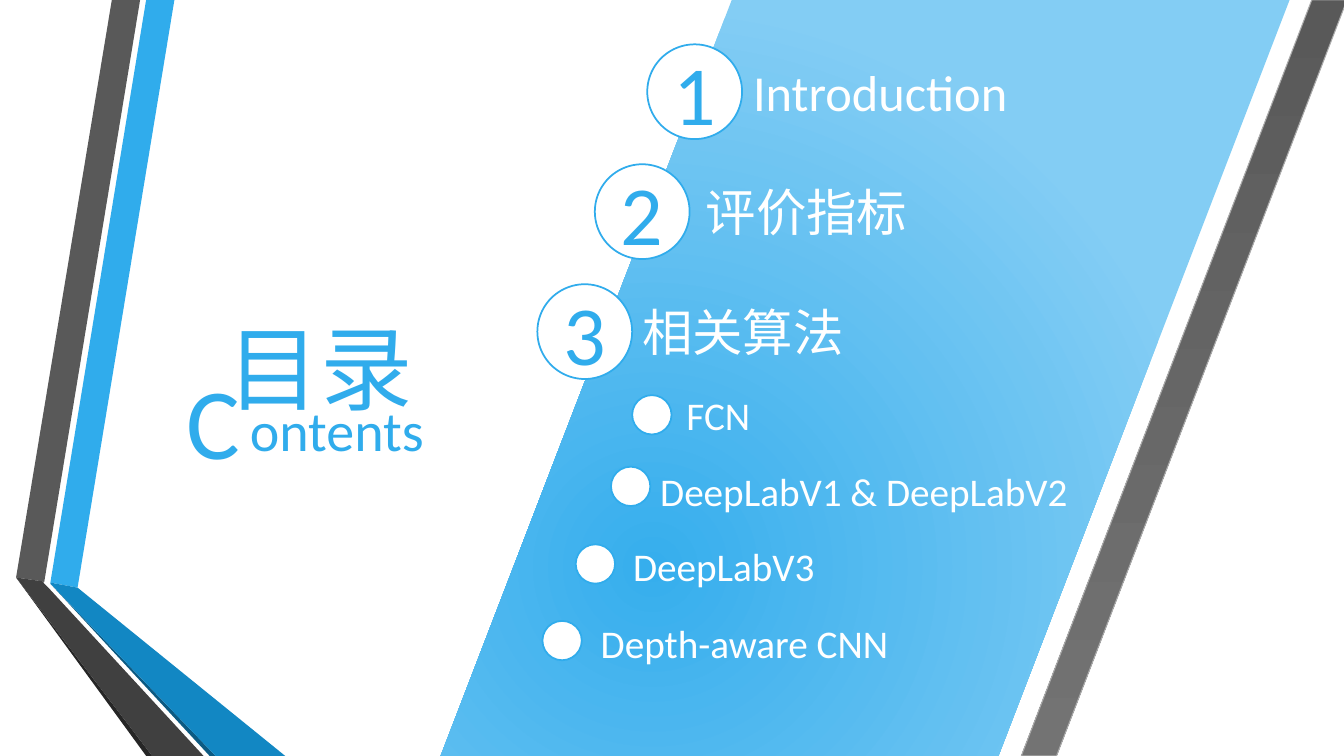
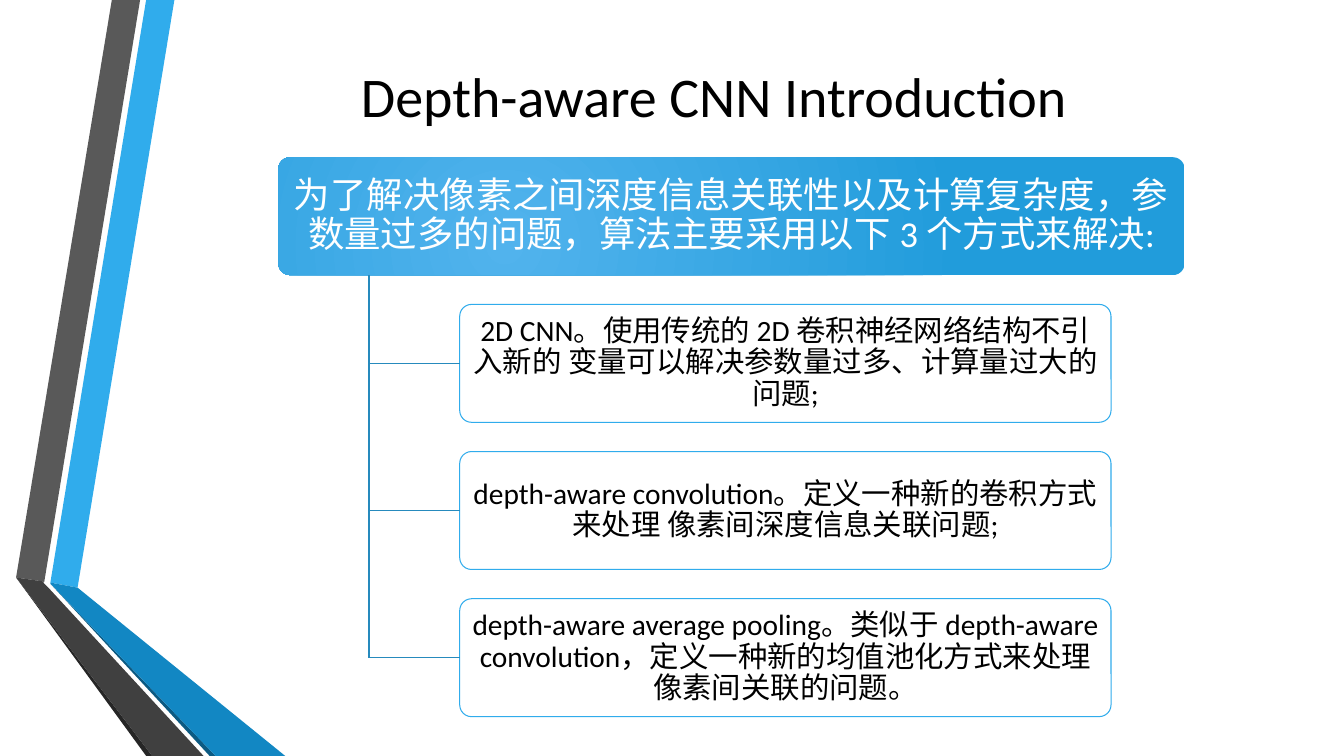
import pptx
import pptx.dml.color
import pptx.enum.shapes
import pptx.enum.text
import pptx.oxml
import pptx.oxml.ns
import pptx.util
from lxml import etree

Inches = pptx.util.Inches
SHAPES = pptx.enum.shapes.MSO_SHAPE
ALIGN = pptx.enum.text.PP_ALIGN
ANCHOR = pptx.enum.text.MSO_ANCHOR
qn = pptx.oxml.ns.qn

FONT = "Calibri"
BLUE, WHITE, BLACK = "30ACEC", "FFFFFF", "000000"
BRANCH_BLUE = "268ABD"

RIBBONS = [
    ("30ACEC", [(0.5, 5.78), (0.77, 5.83), (1.73, 0), (1.45, 0)]),
    ("595959", [(1.39, 0), (1.11, 0), (0.16, 5.73), (0.44, 5.77)]),
    ("262626", [(0.16, 5.73), (1.45, 7.5), (1.51, 7.5)]),
    ("0C5A82", [(0.5, 5.79), (2.08, 7.5), (2.14, 7.5)]),
    ("1287C3", [(0.5, 5.79), (2.14, 7.5), (2.83, 7.5), (0.77, 5.83), (0.5, 5.78)]),
    ("404040", [(2.02, 7.5), (0.48, 5.83), (0.43, 5.78), (0.44, 5.77), (0.16, 5.73), (1.51, 7.5)]),
]

CHAPTERS = [
    ("1", "Introduction", 2.05, 3.0, 2.89),
    ("2", "评价指标", 1.53, 2.53, 2.22),
    ("3", "相关算法", 0.96, 1.9, 2.22),
]
TOPICS = [
    ("FCN", 1.9, 3.92, 2.34, 3.83, 0.98),
    ("DeepLabV1 & DeepLabV2", 1.69, 4.63, 2.08, 4.59, 4.57),
    ("DeepLabV3", 1.34, 5.4, 1.81, 5.33, 2.09),
    ("Depth-aware CNN", 1.01, 6.16, 1.49, 6.09, 3.25),
]

PROBLEM = "为了解决像素之间深度信息关联性以及计算复杂度，参数量过多的问题，算法主要采用以下 3 个方式来解决:"
METHODS = [
    "2D CNN。使用传统的 2D 卷积神经网络结构不引入新的 变量可以解决参数量过多、计算量过大的问题;",
    "depth-aware convolution。定义一种新的卷积方式来处理 像素间深度信息关联问题;",
    "depth-aware average pooling。类似于 depth-aware convolution，定义一种新的均值池化方式来处理像素间关联的问题。",
]


def rgb(color):
    return pptx.dml.color.RGBColor.from_string(color)


def set_values(target, values):
    for name, value in values.items():
        setattr(target, name, value)


def style_shape(shape, fill=None, line=None, width=1.25):
    shape.shadow.inherit = False
    if fill:
        shape.fill.solid()
        shape.fill.fore_color.rgb = rgb(fill)
    if line:
        shape.line.color.rgb = rgb(line)
        shape.line.width = pptx.util.Pt(width)
    else:
        shape.line.fill.background()


def add_shape(slide, kind, box, fill=None, line=None, width=1.25, adjustment=None):
    shape = slide.shapes.add_shape(kind, *map(Inches, box))
    if adjustment is not None:
        shape.adjustments[0] = adjustment
    style_shape(shape, fill, line, width)
    return shape


def fill_gradient(shape, first, last, center=None):
    shape.fill.gradient()
    shape.fill.gradient_angle = 270
    for stop, color in zip(shape.fill.gradient_stops, (first, last)):
        stop.color.rgb = rgb(color)
    if center:
        linear = shape._element.spPr.find(".//" + qn("a:lin"))
        radial = etree.Element(qn("a:path"), {"path": "circle"})
        x, y = center
        sides = {"l": x, "t": y, "r": 100 - x, "b": 100 - y}
        etree.SubElement(radial, qn("a:fillToRect"),
                         {side: str(value * 1000) for side, value in sides.items()})
        linear.getparent().replace(linear, radial)


def write_text(shape, text, size, color, align=ALIGN.CENTER, frame_values=None, spacing=None):
    frame = shape.text_frame
    set_values(frame, frame_values or {})
    paragraph = frame.paragraphs[0]
    paragraph.text = text
    set_values(paragraph, {"alignment": align, "line_spacing": spacing})
    set_values(paragraph.font, {"name": FONT, "size": pptx.util.Pt(size)})
    paragraph.font.color.rgb = rgb(color)


def add_label(slide, box, text, size, color, align=ALIGN.LEFT, wrap=False, anchor=ANCHOR.TOP):
    label = slide.shapes.add_textbox(*map(Inches, box))
    fit = pptx.enum.text.MSO_AUTO_SIZE
    write_text(label, text, size, color, align, {
        "word_wrap": wrap, "vertical_anchor": anchor,
        "auto_size": fit.SHAPE_TO_FIT_TEXT if anchor == ANCHOR.TOP else fit.NONE})


def add_line(slide, start, end):
    connector = slide.shapes.add_connector(
        pptx.enum.shapes.MSO_CONNECTOR.STRAIGHT, *map(Inches, start + end))
    connector.line.color.rgb = rgb(BRANCH_BLUE)
    connector.line.width = pptx.util.Pt(0.75)
    etree.SubElement(connector._element.spPr, qn("a:effectLst"))
    return connector


def add_ribbons(slide):
    for color, points in RIBBONS:
        corners = [(Inches(x), Inches(y)) for x, y in points]
        builder = slide.shapes.build_freeform(*corners[0])
        builder.add_line_segments(corners[1:], close=True)
        style_shape(builder.convert_to_shape(), color)


def new_slide(presentation):
    slide = presentation.slides.add_slide(presentation.slide_layouts[6])
    add_ribbons(slide)
    return slide


def add_contents_title(slide, left, top):
    add_label(slide, (left + 0.4, top, 2.05, 1.21), "目录", 66, BLUE, ALIGN.CENTER)
    add_label(slide, (left, top + 0.47, 0.8, 1.31), "C", 72, BLUE)
    add_label(slide, (left + 0.63, top + 0.83, 2.21, 0.77), "ontents", 40, BLUE, wrap=True)


def add_contents_panel(slide, left, top, width, height):
    panel = add_shape(slide, SHAPES.PARALLELOGRAM, (left, top, width, height), adjustment=0.385)
    fill_gradient(panel, "36AEED", "83CDF4", (25, 75))
    for row, (number, name, circle_x, name_x, name_width) in enumerate(CHAPTERS):
        row_top = top + 0.44 + row * 1.19
        circle = add_shape(slide, SHAPES.OVAL, (left + circle_x, row_top, 0.94, 0.94), WHITE, BLUE)
        write_text(circle, number, 60, BLUE, frame_values={"vertical_anchor": ANCHOR.MIDDLE})
        add_label(slide, (left + name_x, row_top + 0.12, name_width, 0.71), name, 36, WHITE)
    for name, dot_x, dot_y, name_x, name_y, name_width in TOPICS:
        add_shape(slide, SHAPES.OVAL, (left + dot_x, top + dot_y, 0.39, 0.39), WHITE, BLUE)
        add_label(slide, (left + name_x, top + name_y, name_width, 0.57), name, 28, WHITE)


def add_rail(slide, left, top, width, height):
    rail = add_shape(slide, SHAPES.PARALLELOGRAM, (left, top, width, height),
                     line="ABABAB", width=0.75, adjustment=0.892)
    fill_gradient(rail, "595959", "737373")


def add_card(slide, box, text, size, color, fill=None, line=None):
    card = add_shape(slide, SHAPES.ROUNDED_RECTANGLE, box, fill, line, 0.75, 0.1)
    margins = {"margin_left": Inches(0.08), "margin_right": Inches(0.08),
               "margin_top": Inches(0.06), "margin_bottom": Inches(0.06)}
    write_text(card, text, size, color, spacing=0.9, frame_values={
        "word_wrap": True, "vertical_anchor": ANCHOR.MIDDLE, **margins})
    return card


def add_method_tree(slide, left, top, width):
    card_height, pitch = 1.17, 1.46
    trunk_x = left + 0.9
    header = add_card(slide, (left, top, width, card_height), PROBLEM, 26, WHITE)
    fill_gradient(header, "51B3ED", "219CDB", (25, 75))
    for row, method in enumerate(METHODS, 1):
        card_top = top + row * pitch
        middle = card_top + card_height / 2
        card = add_card(slide, (left + 1.8, card_top, 6.46, card_height),
                        method, 21, BLACK, WHITE, BLUE)
        branch = add_line(slide, (trunk_x, middle), (left + 1.8, middle))
        branch.end_connect(card, 1)
    add_line(slide, (trunk_x, top + card_height), (trunk_x, middle))


def build_contents_slide(presentation):
    slide = new_slide(presentation)
    add_contents_panel(slide, 4.37, 0, 8.42, 7.5)
    add_contents_title(slide, 1.75, 3.04)
    add_rail(slide, 10.13, 0, 3.23, 7.5)


def build_introduction_slide(presentation):
    slide = new_slide(presentation)
    add_label(slide, (1.65, 0.47, 10.86, 0.95), "Depth-aware CNN Introduction", 40, BLACK,
              ALIGN.CENTER, True, ANCHOR.MIDDLE)
    add_method_tree(slide, 2.76, 1.56, 8.99)


def main():
    presentation = pptx.Presentation()
    set_values(presentation, {"slide_width": Inches(13.33), "slide_height": Inches(7.5)})
    build_contents_slide(presentation)
    build_introduction_slide(presentation)
    presentation.save("out.pptx")


if __name__ == "__main__":
    main()
